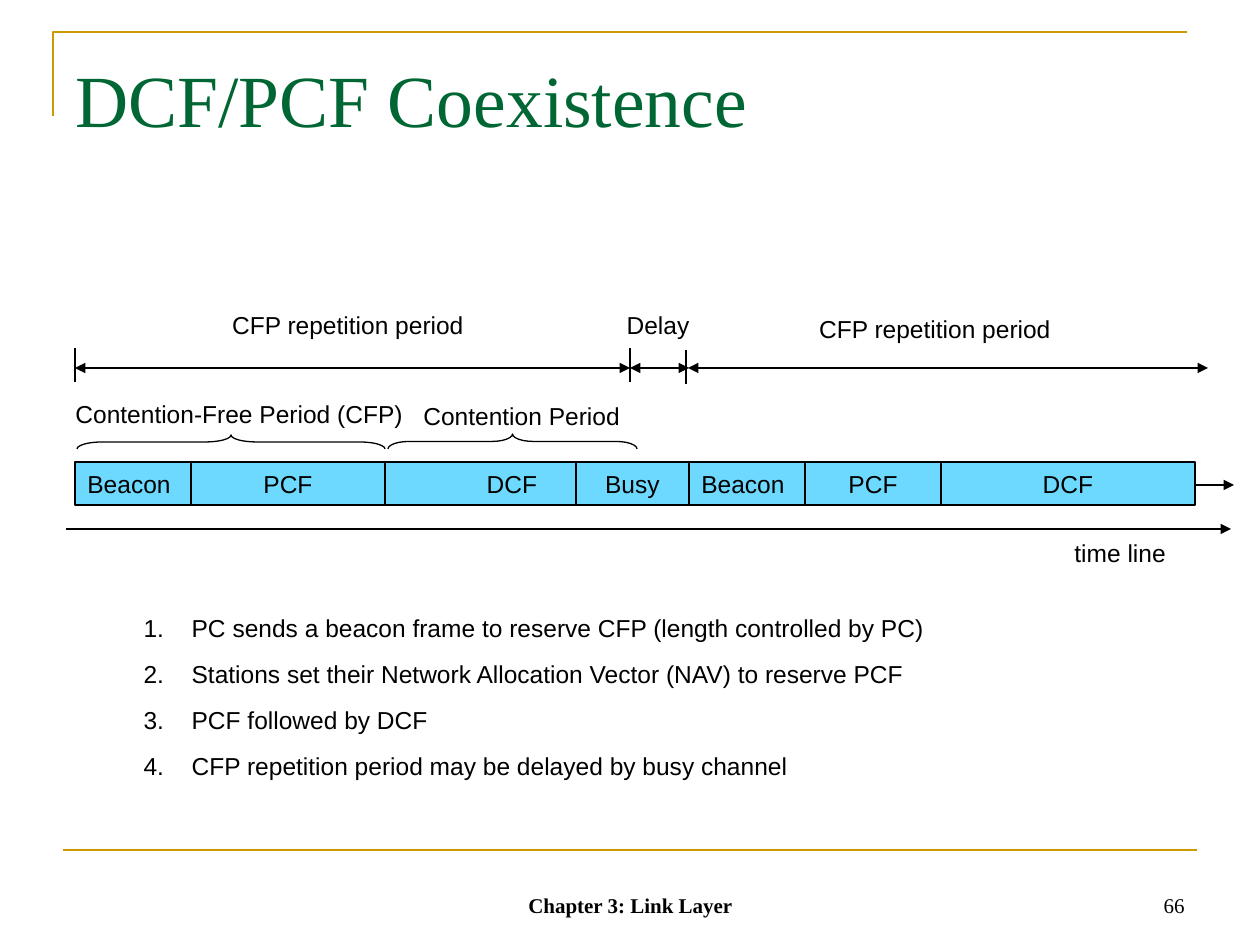
from lxml.etree import SubElement
from pptx import Presentation
from pptx.dml.color import RGBColor
from pptx.enum.shapes import MSO_CONNECTOR, MSO_SHAPE
from pptx.enum.text import MSO_ANCHOR, MSO_AUTO_SIZE, PP_ALIGN
from pptx.oxml.ns import qn
from pptx.util import Pt

COLORS = {"ink": "000000", "title": "006633", "rule": "CC9900", "frame": "6DD9FF"}
SANS, SERIF = "Arial", "Times New Roman"
LEFT, CENTER, RIGHT = PP_ALIGN.LEFT, PP_ALIGN.CENTER, PP_ALIGN.RIGHT

TITLE = "DCF/PCF Coexistence"
STEPS = [
    "PC sends a beacon frame to reserve CFP (length controlled by PC)",
    "Stations set their Network Allocation Vector (NAV) to reserve PCF",
    "PCF followed by DCF",
    "CFP repetition period may be delayed by busy channel",
]
FRAME_TOP, FRAME_HEIGHT = 462, 43
FRAMES = [
    ("Beacon", 75, 191, LEFT),
    ("PCF", 191, 385, CENTER),
    ("DCF", 385, 639, CENTER),
    ("Busy", 576, 689, CENTER),
    ("Beacon", 689, 805, LEFT),
    ("PCF", 805, 941, CENTER),
    ("DCF", 941, 1195, CENTER),
]
LABELS = [
    ("time line", 1062, 531, 149, LEFT),
    ("Contention-Free Period (CFP)", 63, 392, 374, LEFT),
    ("Contention Period", 411, 394, 238, LEFT),
    ("CFP repetition period", 189, 303, 318, CENTER),
    ("CFP repetition period", 776, 307, 318, CENTER),
    ("Delay", 596, 303, 124, CENTER),
]
FOOTERS = [
    ("Chapter 3: Link Layer", 431, 399, CENTER, True),
    ("66", 903, 294, RIGHT, False),
]
BRACES = [(77, 385, 435, 14, 1.83), (388, 637, 434, 15, 1.4)]
SPANS = [(75, 630), (630, 689), (688, 1208)]
TICKS = [(75, 348), (630, 348), (686, 350)]
SPAN_Y, TICK_HEIGHT = 368, 34

PX = 914400 / 126


def px(*lengths):
    return [round(length * PX) for length in lengths]


def color(name):
    return RGBColor.from_string(COLORS[name])


def style_line(line, ink="ink", width=0.75):
    line.color.rgb = color(ink)
    line.width = Pt(width)


def write(paragraph, text, align=LEFT, **formats):
    paragraph.alignment = align
    paragraph.space_before = Pt(0)
    run = paragraph.add_run()
    run.text = text
    ink = formats.pop("ink", "ink")
    for attribute, value in {"name": SANS, "size": Pt(14), **formats}.items():
        setattr(run.font, attribute, value)
    run.font.color.rgb = color(ink)


def place(shape, *box):
    for attribute, value in zip(("left", "top", "width", "height"), px(*box)):
        setattr(shape, attribute, value)


def add_line(shapes, start, end, ends=(), ink="ink", width=0.75):
    line = shapes.add_connector(MSO_CONNECTOR.STRAIGHT, *px(*start, *end))
    style_line(line.line, ink, width)
    outline = line.line._get_or_add_ln()
    for end_name in ends:
        SubElement(outline, qn(f"a:{end_name}"), type="triangle")
    SubElement(line._element.spPr, qn("a:effectLst"))


def add_label(shapes, text, box, align, anchor=MSO_ANCHOR.MIDDLE, **formats):
    frame = shapes.add_textbox(*px(*box)).text_frame
    frame.word_wrap = True
    frame.vertical_anchor = anchor
    write(frame.paragraphs[0], text, align, **formats)


def add_frame(shapes, text, left, right, align):
    box = px(left, FRAME_TOP, right - left, FRAME_HEIGHT)
    cell = shapes.add_shape(MSO_SHAPE.RECTANGLE, *box)
    cell.shadow.inherit = False
    cell.fill.solid()
    cell.fill.fore_color.rgb = color("frame")
    style_line(cell.line)
    cell.text_frame.vertical_anchor = MSO_ANCHOR.MIDDLE
    write(cell.text_frame.paragraphs[0], text, align)


def add_brace(shapes, left, right, top, depth, curve):
    length = right - left
    box = px((left + right - depth) / 2, top + (depth - length) / 2, depth, length)
    brace = shapes.add_shape(MSO_SHAPE.LEFT_BRACE, *box)
    brace.rotation = 90
    brace.adjustments[0] = curve
    brace.shadow.inherit = False
    brace.fill.background()
    style_line(brace.line)


def add_corner(shapes):
    builder = shapes.build_freeform(53, 116, scale=PX)
    builder.add_line_segments([(53, 32), (1187, 32)], close=False)
    corner = builder.convert_to_shape()
    corner.shadow.inherit = False
    corner.fill.background()
    style_line(corner.line, "rule", 1.5)


def fill_title(title):
    place(title, 63, 38, 1134, 157)
    frame = title.text_frame
    frame.auto_size = MSO_AUTO_SIZE.NONE
    frame.vertical_anchor = MSO_ANCHOR.TOP
    frame.margin_top = px(16)[0]
    write(frame.paragraphs[0], TITLE, name=SERIF, size=Pt(42), ink="title")


def fill_steps(body):
    place(body, 131, 607, 929, 176)
    frame = body.text_frame
    frame.auto_size = MSO_AUTO_SIZE.NONE
    indent = px(48)[0]
    for number, step in enumerate(STEPS):
        paragraph = frame.add_paragraph() if number else frame.paragraphs[0]
        properties = paragraph._p.get_or_add_pPr()
        properties.set("marL", str(indent))
        properties.set("indent", str(-indent))
        SubElement(properties, qn("a:buFont"), typeface=SANS)
        SubElement(properties, qn("a:buAutoNum"), type="arabicPeriod")
        write(paragraph, step)
        if number:
            paragraph.space_before = Pt(9.4)


def main():
    presentation = Presentation()
    presentation.slide_width, presentation.slide_height = px(1260, 945)
    slide = presentation.slides.add_slide(presentation.slide_layouts[1])
    shapes = slide.shapes
    fill_title(shapes.title)
    fill_steps(slide.placeholders[1])

    add_corner(shapes)
    add_line(shapes, (63, 850), (1197, 850), ink="rule", width=1.5)
    for text, left, width, align, bold in FOOTERS:
        add_label(shapes, text, (left, 861, width, 63), align, MSO_ANCHOR.BOTTOM,
                  name=SERIF, size=Pt(12), bold=bold)

    add_line(shapes, (136, 485), (1234, 485), ["tailEnd"], width=1.5)
    for frame in FRAMES:
        add_frame(shapes, *frame)
    for brace in BRACES:
        add_brace(shapes, *brace)
    for left, top in TICKS:
        add_line(shapes, (left, top), (left, top + TICK_HEIGHT))
    for left, right in SPANS:
        add_line(shapes, (left, SPAN_Y), (right, SPAN_Y), ["headEnd", "tailEnd"])
    add_line(shapes, (66, 529), (1231, 529), ["tailEnd"])
    for text, left, top, width, align in LABELS:
        add_label(shapes, text, (left, top, width, FRAME_HEIGHT), align)

    presentation.save("out.pptx")


if __name__ == "__main__":
    main()
